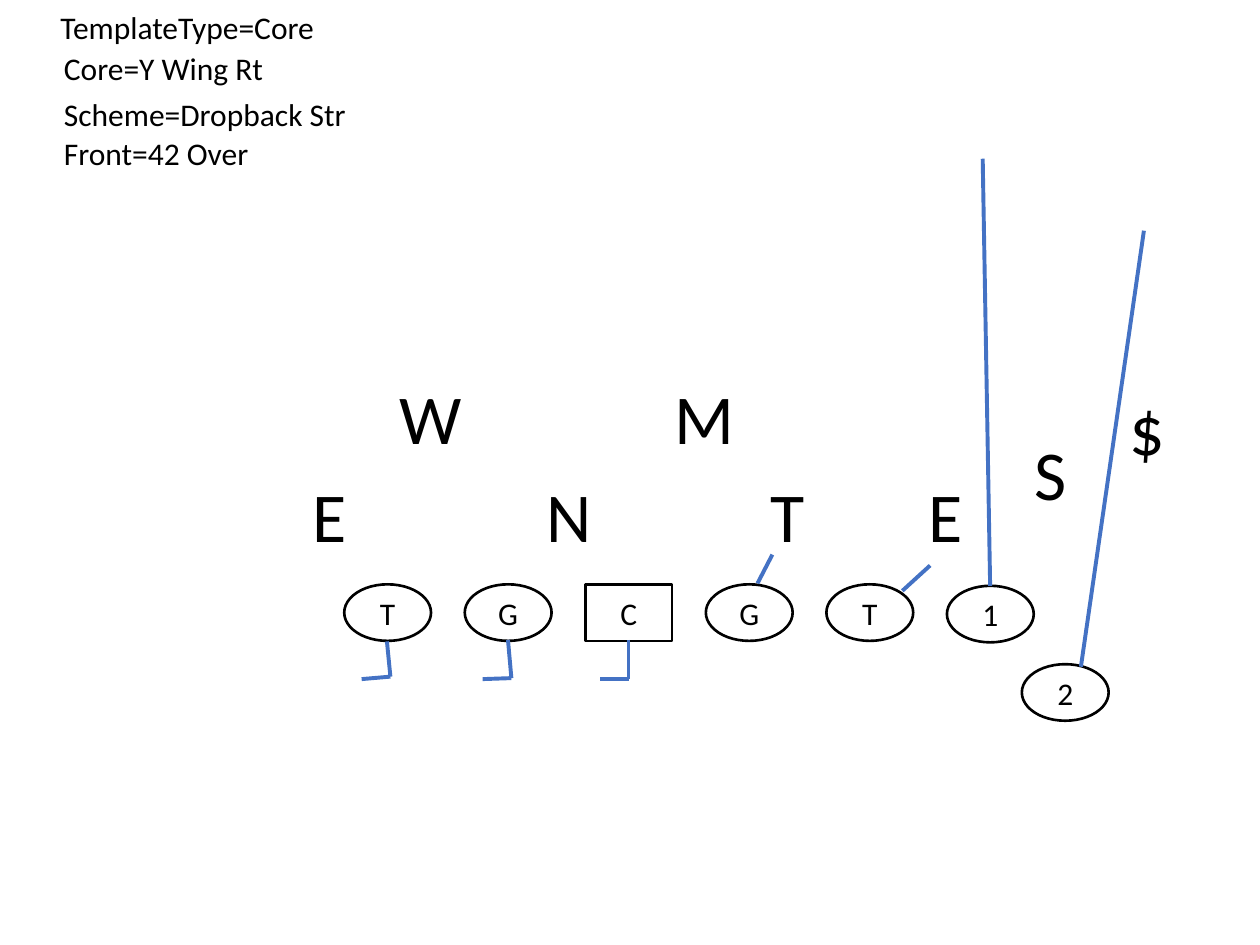
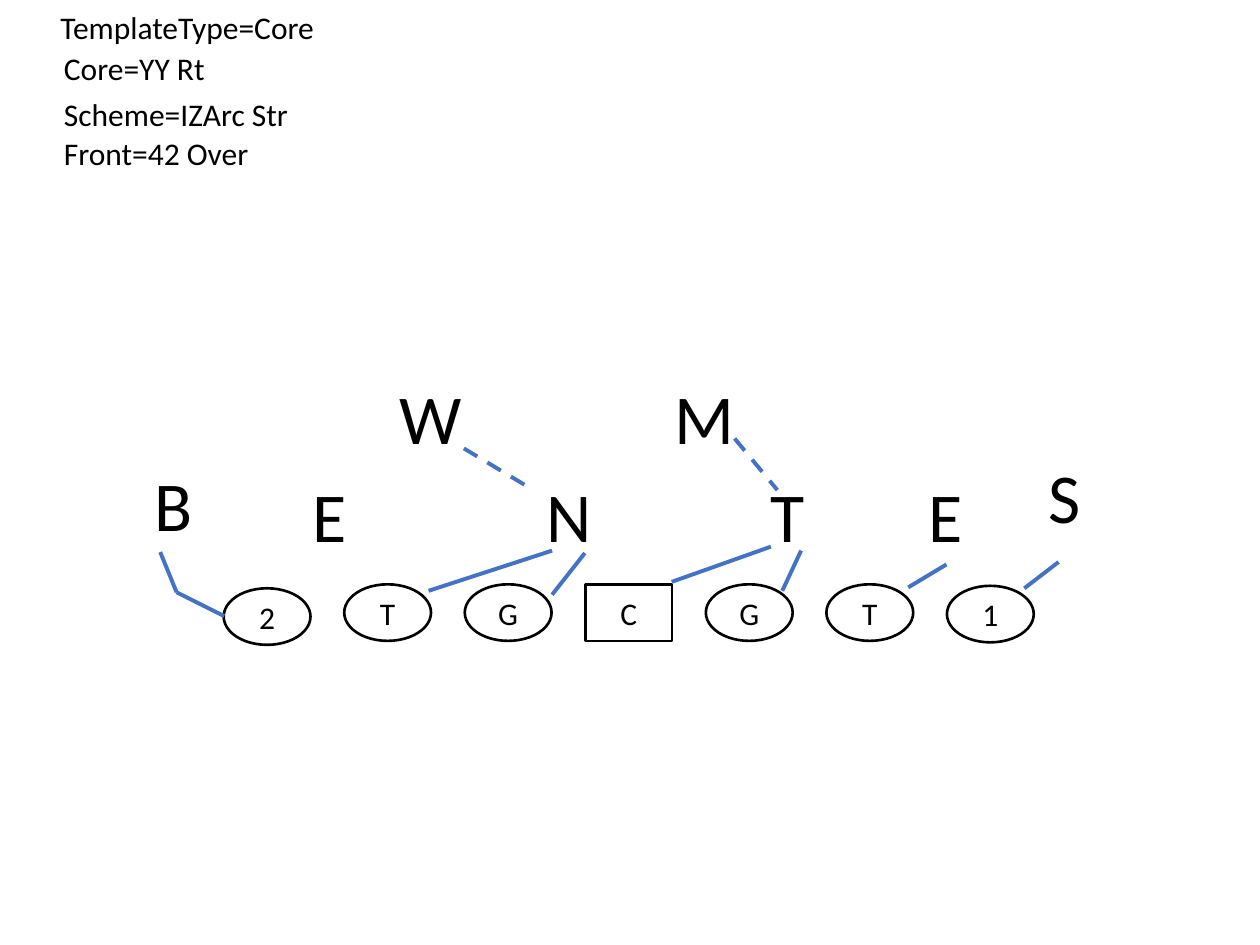
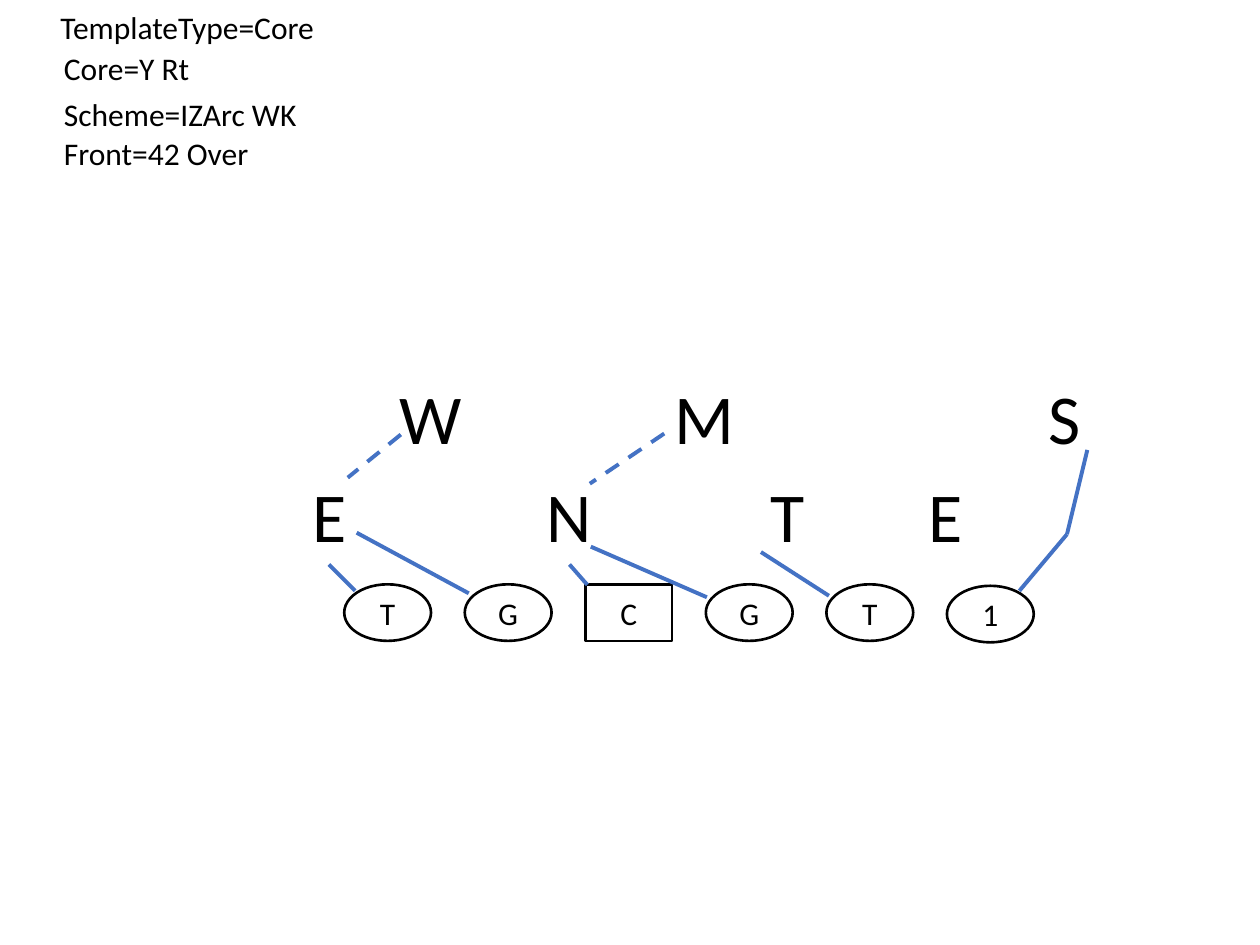
from itertools import pairwise

from lxml.etree import SubElement
from pptx import Presentation
from pptx.dml.color import RGBColor
from pptx.enum.dml import MSO_LINE
from pptx.enum.shapes import MSO_CONNECTOR, MSO_SHAPE
from pptx.enum.text import MSO_ANCHOR, MSO_AUTO_SIZE, PP_ALIGN
from pptx.oxml.ns import qn
from pptx.util import Cm, Pt

COLORS = {"ink": "000000", "paper": "FFFFFF", "route": "4472C4"}
SMALL = {"name": "Calibri", "size": Pt(18)}
LARGE = {"name": "Calibri", "size": Pt(40)}

# Boxes are left, top in cm; everything inside is measured from them.
HEADER = (0.97, 0.03)
FIELD = (2.54, 2.54)

PLAYER_W, PLAYER_H = 1.75, 1.14
FIRST_SLOT, SLOT_STEP, LINE_TOP = 4.4, 2.43, 9.24
LETTER_WIDTHS = {"N": 1.42, "W": 1.78, "M": 1.78, "B": 1.3, "$": 1.24}
LETTER_W, LETTER_H = 1.22, 1.96
BACKERS_TOP, FRONT_TOP = 4.88, 6.86

FRONT_42_OVER = [
    ("N", 8.23, FRONT_TOP), ("T", 12.75, FRONT_TOP),
    ("E", 15.93, FRONT_TOP), ("E", 3.51, FRONT_TOP),
    ("W", 5.26, BACKERS_TOP), ("M", 10.8, BACKERS_TOP),
]


def rgb(name):
    return RGBColor.from_string(COLORS[name])


def slot_left(slot):
    return FIRST_SLOT + slot * SLOT_STEP


def write(tf, text, font):
    p = tf.paragraphs[0]
    r = p.add_run()
    r.text = text
    for name, value in font.items():
        setattr(r.font, name, value)
    r.font.color.rgb = rgb("ink")
    return p


def add_text(s, text, left, top, width, height, font):
    sp = s.shapes.add_textbox(Cm(left), Cm(top), Cm(width), Cm(height))
    tf = sp.text_frame
    tf.word_wrap = False
    tf.auto_size = MSO_AUTO_SIZE.SHAPE_TO_FIT_TEXT
    write(tf, text, font)


def add_player(s, box, label, left, top):
    """Draw an offensive player: a square for the centre, else an oval."""
    kind = MSO_SHAPE.RECTANGLE if label == "C" else MSO_SHAPE.OVAL
    sp = s.shapes.add_shape(kind, Cm(box[0] + left), Cm(box[1] + top),
                            Cm(PLAYER_W), Cm(PLAYER_H))
    sp.shadow.inherit = False
    sp.fill.solid()
    sp.fill.fore_color.rgb = rgb("paper")
    sp.line.color.rgb = rgb("ink")
    sp.line.width = Pt(1.5)
    sp.text_frame.vertical_anchor = MSO_ANCHOR.MIDDLE
    write(sp.text_frame, label, SMALL).alignment = PP_ALIGN.CENTER


def add_defender(s, box, letter, left, top):
    width = LETTER_WIDTHS.get(letter, LETTER_W)
    add_text(s, letter, box[0] + left, box[1] + top, width, LETTER_H, LARGE)


def add_route(s, box, points, dashed=False):
    """Join the points with straight segments."""
    for (x1, y1), (x2, y2) in pairwise(points):
        line = s.shapes.add_connector(
            MSO_CONNECTOR.STRAIGHT, Cm(box[0] + x1), Cm(box[1] + y1),
            Cm(box[0] + x2), Cm(box[1] + y2))
        line.line.color.rgb = rgb("route")
        line.line.width = Pt(2.25)
        if dashed:
            line.line.dash_style = MSO_LINE.DASH
        SubElement(line._element.spPr, qn("a:effectLst"))


def add_header(s, box, core, scheme):
    """Write the settings; core and scheme are (text, width) pairs."""
    rows = [(("TemplateType=Core", 5.69), 0, 0), (core, 0.07, 0.83),
            (scheme, 0.07, 1.77), (("Front=42 Over", 4.42), 0.07, 2.54)]
    for (text, width), left, top in rows:
        add_text(s, text, box[0] + left, box[1] + top, width, 1.02, SMALL)


def add_field(s, box, receivers, defenders, routes, reads):
    for slot, label in enumerate("TGCGT"):
        add_player(s, box, label, slot_left(slot), LINE_TOP)
    for receiver in [("1", slot_left(5), 9.27)] + receivers:
        add_player(s, box, *receiver)
    for defender in FRONT_42_OVER + defenders:
        add_defender(s, box, *defender)
    for points in routes:
        add_route(s, box, points)
    for points in reads:
        add_route(s, box, points, dashed=True)


PLAYS = [
    {
        "core": ("Core=Y Wing Rt", 4.57),
        "scheme": ("Scheme=Dropback Str", 6.25),
        "receivers": [("2", 18.06, 10.85)],
        "defenders": [("S", 18.06, 6.02), ("$", 19.99, 5.11)],
        "routes": [
            [(17.42, 9.27), (17.27, 0.66)],
            [(20.52, 2.11), (19.25, 10.9)],
            [(16.21, 8.86), (15.65, 9.37)],
            [(13.03, 8.64), (12.73, 9.22)],
            [(5.26, 10.39), (5.33, 11.1), (4.75, 11.15)],
            [(7.7, 10.36), (7.77, 11.13), (7.19, 11.15)],
            [(10.13, 10.36), (10.13, 11.15), (9.55, 11.15)],
        ],
        "reads": [],
    },
    {
        "core": ("Core=YY Rt", 3.38),
        "scheme": ("Scheme=IZArc Str", 5.08),
        "receivers": [("2", slot_left(-1), 9.32)],
        "defenders": [("S", 18.34, 6.48), ("B", 0.33, 6.63)],
        "routes": [
            [(18.8, 8.79), (18.11, 9.32)],
            [(16.54, 8.84), (15.77, 9.3)],
            [(13.61, 8.56), (13.23, 9.37)],
            [(13.0, 8.48), (11.0, 9.19)],
            [(9.25, 8.61), (8.59, 9.45)],
            [(8.59, 8.56), (6.1, 9.37)],
            [(1.98, 9.88), (1.02, 9.4), (0.69, 8.59)],
        ],
        "reads": [
            [(12.27, 6.3), (13.13, 7.34)],
            [(6.81, 6.5), (8.08, 7.26)],
        ],
    },
    {
        "core": ("Core=Y Rt", 3.07),
        "scheme": ("Scheme=IZArc WK", 5.26),
        "receivers": [],
        "defenders": [("S", 18.34, BACKERS_TOP)],
        "routes": [
            [(4.09, 8.84), (4.62, 9.37)],
            [(4.65, 8.2), (6.91, 9.42)],
            [(8.94, 8.84), (9.3, 9.25)],
            [(9.37, 8.48), (11.71, 9.5)],
            [(12.8, 8.59), (14.17, 9.47)],
            [(19.38, 6.53), (18.97, 8.23), (18.01, 9.37)],
        ],
        "reads": [
            [(5.54, 6.22), (4.47, 7.09)],
            [(10.85, 6.2), (9.35, 7.21)],
        ],
    },
]


def add_play(prs, core, scheme, **field):
    s = prs.slides.add_slide(prs.slide_layouts[6])
    add_header(s, HEADER, core, scheme)
    add_field(s, FIELD, **field)


def main():
    prs = Presentation()
    prs.slide_width, prs.slide_height = Cm(25.4), Cm(19.05)
    for play in PLAYS:
        add_play(prs, **play)
    prs.save("out.pptx")


if __name__ == "__main__":
    main()
